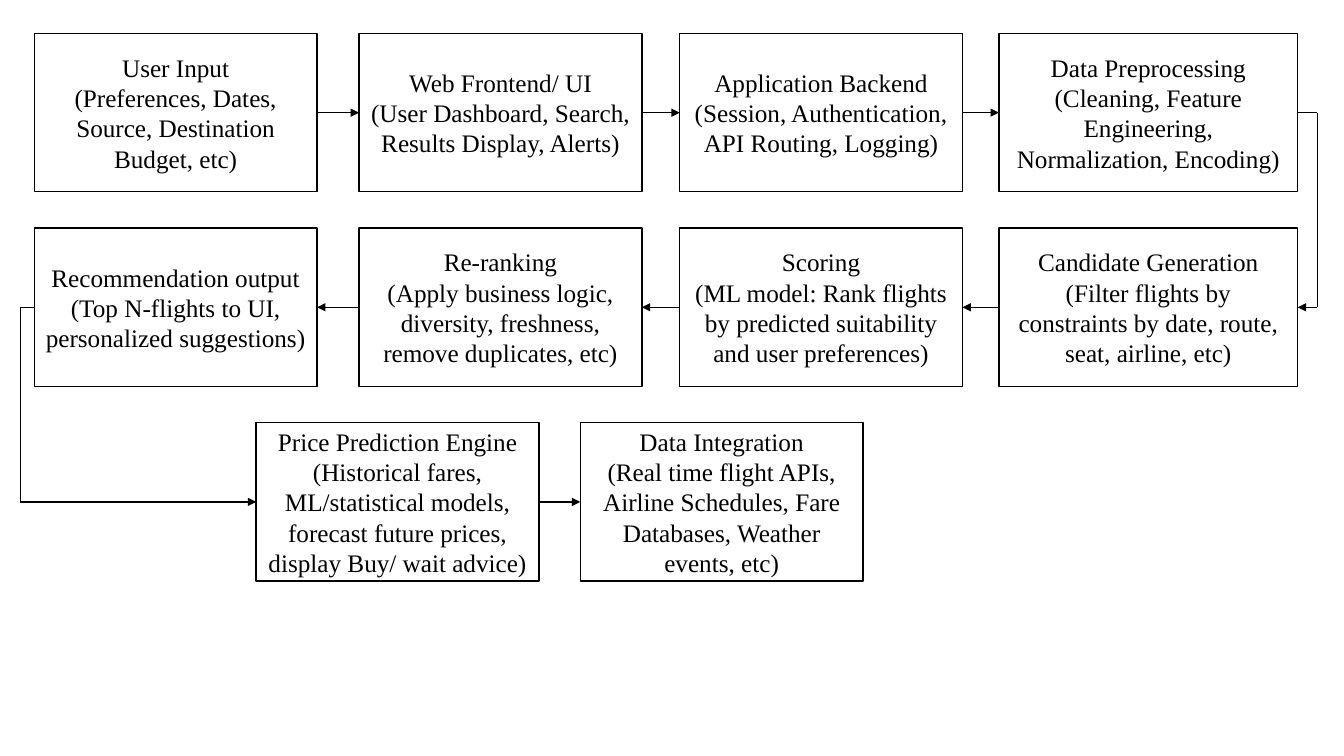
import pptx
import pptx.util
import pptx.dml.color
import pptx.enum.shapes
import pptx.enum.text
import pptx.oxml
import pptx.oxml.ns

Pt = pptx.util.Pt
TOP, LEFT, BOTTOM, RIGHT = range(4)


class Chart:
    font = "Times New Roman"
    size = 18
    colors = {"ink": "000000", "paper": "FFFFFF"}

    def __init__(self, slide):
        self.slide = slide

    def color(self, name):
        return pptx.dml.color.RGBColor.from_string(self.colors[name])

    def stroke(self, line):
        line.width = Pt(1)
        line.color.rgb = self.color("ink")

    def box(self, x, y, w, h, text):
        kind = pptx.enum.shapes.MSO_SHAPE.RECTANGLE
        box = self.slide.shapes.add_shape(kind, Pt(x), Pt(y), Pt(w), Pt(h))
        box.shadow.inherit = False
        box.fill.solid()
        box.fill.fore_color.rgb = self.color("paper")
        self.stroke(box.line)
        frame = box.text_frame
        frame.word_wrap = True
        frame.vertical_anchor = pptx.enum.text.MSO_ANCHOR.MIDDLE
        frame.text = text
        for para in frame.paragraphs:
            para.alignment = pptx.enum.text.PP_ALIGN.CENTER
            para.font.name = self.font
            para.font.size = Pt(self.size)
            para.font.color.rgb = self.color("ink")
        return box

    def line(self, start, end, head=True):
        """Each end is a point (x, y) or a box with a side number."""
        kind = pptx.enum.shapes.MSO_CONNECTOR.STRAIGHT
        line = self.slide.shapes.add_connector(kind, 0, 0, 0, 0)
        if isinstance(start[0], (int, float)):
            line.begin_x, line.begin_y = Pt(start[0]), Pt(start[1])
        else:
            line.begin_connect(*start)
        if isinstance(end[0], (int, float)):
            line.end_x, line.end_y = Pt(end[0]), Pt(end[1])
        else:
            line.end_connect(*end)
        self.stroke(line.line)
        props = line._element.spPr
        if head:
            tail = pptx.oxml.parse_xml(
                '<a:tailEnd %s type="triangle"/>' % pptx.oxml.ns.nsdecls("a"))
            props.find(pptx.oxml.ns.qn("a:ln")).append(tail)
        props.append(pptx.oxml.parse_xml(
            "<a:effectLst %s/>" % pptx.oxml.ns.nsdecls("a")))

    def detour(self, start, end, x, top, low):
        """Leave a box sideways, go down at x, and enter another box."""
        self.line(start, (x, top), head=False)
        self.line((x, top), (x, low), head=False)
        self.line((x, low), end)


# Grid
WIDE, HIGH = 202, 113
ROWS = [24 + 139 * i for i in range(3)]
MIDS = [y + HIGH / 2 for y in ROWS]
COLS = [(24.5, WIDE), (256.5, WIDE), (485.5, WIDE), (713.5, 213.5)]
LAST = [(183, WIDE), (414.5, WIDE)]

STEPS = [
    ["User Input\n(Preferences, Dates, Source, Destination Budget, etc)",
     "Web Frontend/ UI\n(User Dashboard, Search, Results Display, Alerts)",
     "Application Backend\n(Session, Authentication, API Routing, Logging)",
     "Data Preprocessing\n(Cleaning, Feature Engineering, Normalization, "
     "Encoding)"],
    ["Recommendation output\n(Top N-flights to UI, personalized suggestions)",
     "Re-ranking\n(Apply business logic, diversity, freshness, "
     "remove duplicates, etc)",
     "Scoring\v(ML model: Rank flights by predicted suitability "
     "and user preferences)",
     "Candidate Generation\n(Filter flights by constraints by date, route, "
     "seat, airline, etc)"],
    ["Price Prediction Engine\n(Historical fares, ML/statistical models, "
     "forecast future prices, display Buy/ wait advice)",
     "Data Integration\n(Real time flight APIs,\nAirline Schedules, "
     "Fare Databases, Weather events, etc)"],
]


def main():
    deck = pptx.Presentation()
    deck.slide_width, deck.slide_height = Pt(960), Pt(540)
    chart = Chart(deck.slides.add_slide(deck.slide_layouts[6]))

    # Boxes
    rows = [[chart.box(x, y, w, HIGH, text)
             for (x, w), text in zip(cols, texts)]
            for y, cols, texts in zip(ROWS, (COLS, COLS, LAST), STEPS)]
    first, second, third = rows

    # Arrows within rows: the second row runs right to left
    for row in (first, third):
        for a, b in zip(row, row[1:]):
            chart.line((a, RIGHT), (b, LEFT))
    for a, b in zip(second, second[1:]):
        chart.line((b, LEFT), (a, RIGHT))

    # Turns between rows
    chart.detour((first[-1], RIGHT), (second[-1], RIGHT), 941, *MIDS[:2])
    chart.detour((second[0], LEFT), (third[0], LEFT), 14.5, *MIDS[1:])

    deck.save("out.pptx")


if __name__ == "__main__":
    main()
